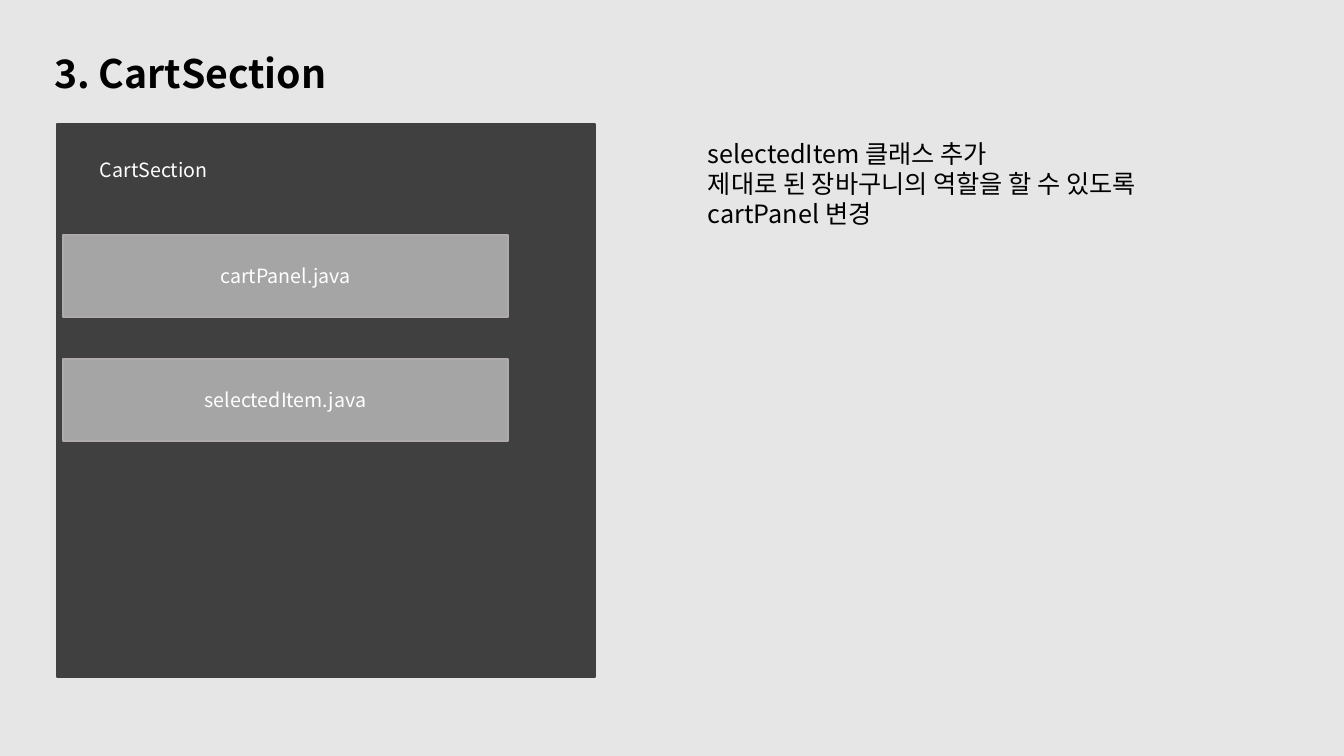
from lxml import etree
from pptx import Presentation
from pptx import util as u
from pptx.dml.color import RGBColor
from pptx.enum import shapes, text
from pptx.oxml.ns import qn

FONT = "Noto Sans CJK KR"
BLACK, WHITE = "000000", "FFFFFF"
PANEL, FILE_FILL, FILE_LINE = "404040", "A5A5A5", "AFABAB"
BACKGROUND = "E7E6E6"

TITLE = "3. CartSection"
SECTION = "CartSection"
FILES = ["cartPanel.java", "selectedItem.java"]
NOTES = [
    "selectedItem 클래스 추가",
    "제대로 된 장바구니의 역할을 할 수 있도록",
    "cartPanel 변경",
]

# left, top, width, height in px
SLIDE_SIZE = (1344, 756)
TITLE_BOX = (44, 44, 652, 58)
PANEL_BOX = (57, 124, 538, 553)
SECTION_BOX = (90, 153, 470, 123)
FILE_BOX = (63, 235, 445, 82)
FILE_PITCH = 124
NOTES_BOX = (698, 133, 520, 132)


def px(length):
    return u.Emu(round(length * u.Inches(1) / 100.8))


def colour(hex_string):
    return RGBColor.from_string(hex_string)


def write(shape, lines, size, hex_string, bold=False,
          align=text.PP_ALIGN.LEFT, anchor=text.MSO_ANCHOR.TOP):
    frame = shape.text_frame
    frame.word_wrap = True
    frame.vertical_anchor = anchor
    frame.text = "\n".join(lines)
    for paragraph in frame.paragraphs:
        paragraph.alignment = align
        paragraph.line_spacing = 1.0
        font = paragraph.font
        font.size = u.Pt(size)
        font.bold = bold
        font.color.rgb = colour(hex_string)
        font.name = FONT
        # Korean glyphs take the East Asian typeface
        properties = paragraph._p.pPr.find(qn("a:defRPr"))
        etree.SubElement(properties, qn("a:ea"), typeface=FONT)


def add_text(slide, box, lines, size, hex_string):
    shape = slide.shapes.add_textbox(*map(px, box))
    write(shape, lines, size, hex_string)


def add_rectangle(slide, box, fill, line):
    shape = slide.shapes.add_shape(shapes.MSO_SHAPE.RECTANGLE, *map(px, box))
    shape.shadow.inherit = False
    shape.fill.solid()
    shape.fill.fore_color.rgb = colour(fill)
    shape.line.color.rgb = colour(line)
    shape.line.width = u.Pt(1)
    return shape


def main():
    presentation = Presentation()
    presentation.slide_width, presentation.slide_height = map(px, SLIDE_SIZE)
    slide = presentation.slides.add_slide(presentation.slide_layouts[5])
    slide.background.fill.solid()
    slide.background.fill.fore_color.rgb = colour(BACKGROUND)

    title = slide.shapes.title
    title.left, title.top, title.width, title.height = map(px, TITLE_BOX)
    write(title, [TITLE], 28, BLACK, bold=True)
    title.text_frame.auto_size = text.MSO_AUTO_SIZE.NONE

    add_rectangle(slide, PANEL_BOX, PANEL, PANEL)
    add_text(slide, SECTION_BOX, [SECTION], 14, WHITE)
    left, top, width, height = FILE_BOX
    for index, name in enumerate(FILES):
        box = (left, top + index * FILE_PITCH, width, height)
        shape = add_rectangle(slide, box, FILE_FILL, FILE_LINE)
        write(shape, [name], 14, WHITE, align=text.PP_ALIGN.CENTER,
              anchor=text.MSO_ANCHOR.MIDDLE)
    add_text(slide, NOTES_BOX, NOTES, 18, BLACK)

    presentation.save("out.pptx")


if __name__ == "__main__":
    main()
